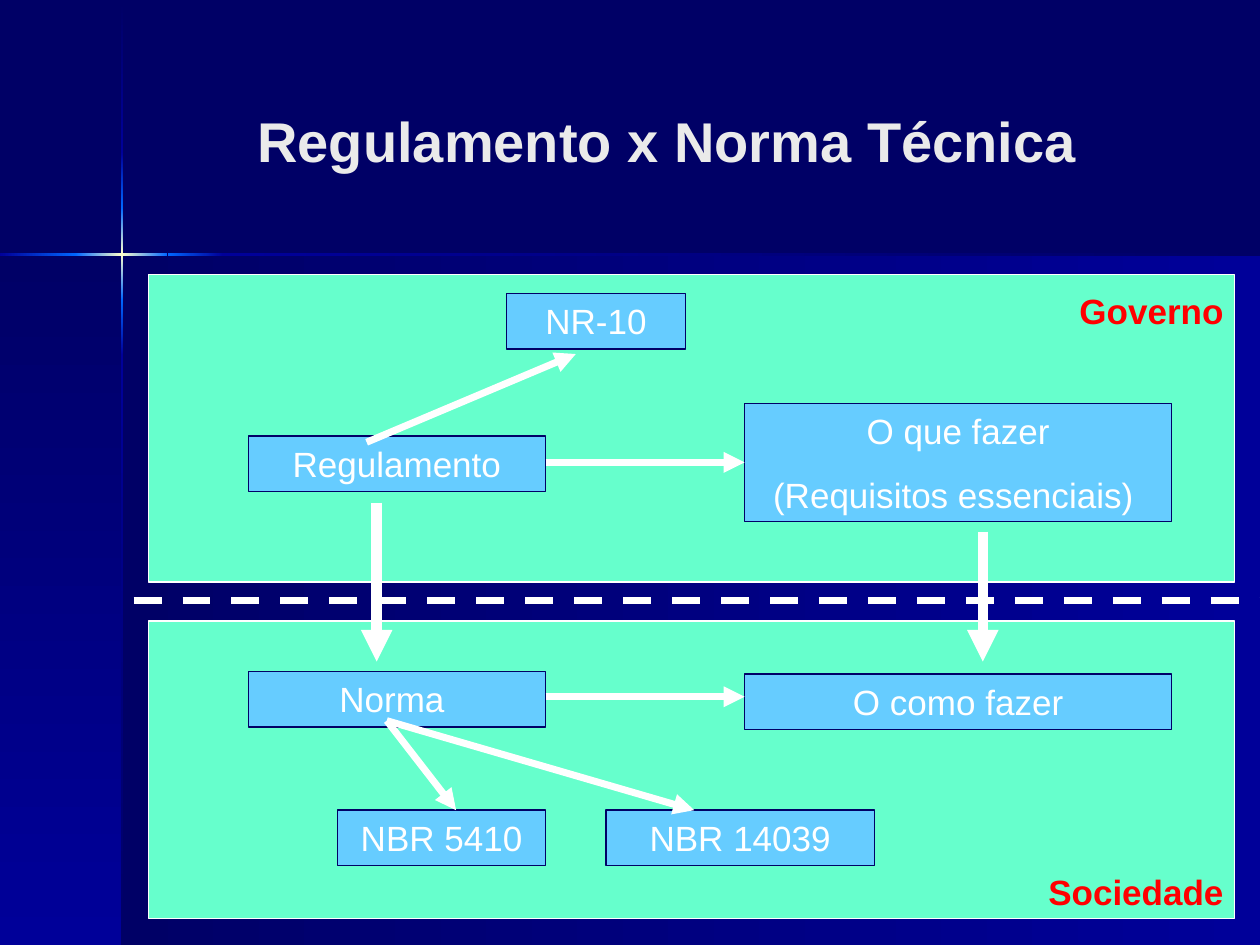
"""Build the slide comparing regulation and technical standard."""
from lxml.etree import SubElement
from pptx import Presentation
from pptx.dml.color import RGBColor
from pptx.enum.dml import MSO_LINE
from pptx.enum.shapes import MSO_CONNECTOR, MSO_SHAPE
from pptx.enum.text import MSO_ANCHOR, MSO_AUTO_SIZE, PP_ALIGN
from pptx.oxml.ns import qn
from pptx.util import Inches, Pt

NAVY = RGBColor(0x00, 0x00, 0x66)
BLUE = RGBColor(0x00, 0x00, 0x99)
BRIGHT = RGBColor(0x00, 0x66, 0xFF)
CREAM = RGBColor(0xFF, 0xFF, 0xCC)
MINT = RGBColor(0x66, 0xFF, 0xCC)
SKY = RGBColor(0x66, 0xCC, 0xFF)
WHITE = RGBColor(0xFF, 0xFF, 0xFF)
SILVER = RGBColor(0xEA, 0xEA, 0xEA)
RED = RGBColor(0xFF, 0x00, 0x00)

TITLE = "Regulamento x Norma Técnica"
DOWN, LEFTWARD = 90, 180
GLOW = (BRIGHT, CREAM, BRIGHT)
BACKDROP = [
    ((0.97, 2.02, 9.03, 5.48), (BLUE, NAVY), LEFTWARD),
    ((0, 2.02, 0.97, 5.48), (NAVY, BLUE), DOWN),
]
VERTICAL_RAY = [
    (0.01, 1.21, (NAVY, BLUE)),
    (2.82, 7.5, (BLUE, NAVY)),
    (2.38, 2.82, (BRIGHT, BLUE)),
    (1.21, 1.65, (BLUE, BRIGHT)),
    (1.65, 2.38, GLOW),
]
HORIZONTAL_RAY = [
    (1.77, 10, (NAVY, BLUE)),
    (0, 0.61, (BRIGHT, BLUE)),
    (1.33, 1.77, (BLUE, BRIGHT)),
    (0.6, 1.33, GLOW),
]
PANELS = [(1.18, 4.93, 8.62, 2.36), (1.18, 2.18, 8.62, 2.44)]
BOXES = [
    (["Regulamento"], (1.97, 3.46, 2.36, 0.44)),
    (["O que fazer", "(Requisitos essenciais) "], (5.91, 3.2, 3.39, 0.94)),
    (["Norma "], (1.97, 5.33, 2.36, 0.44)),
    (["O como fazer"], (5.91, 5.35, 3.39, 0.44)),
    (["NBR 14039"], (4.81, 6.43, 2.13, 0.44)),
    (["NBR 5410"], (2.68, 6.43, 1.65, 0.44)),
    (["NR-10"], (4.02, 2.33, 1.42, 0.44)),
]
ARROWS = [
    ((4.33, 3.67, 5.91, 3.67), 4),
    ((4.33, 5.53, 5.91, 5.53), 4),
    ((2.91, 3.51, 4.57, 2.81), 4),
    ((3.07, 5.72, 3.62, 6.43), 4),
    ((3.07, 5.72, 5.51, 6.43), 4),
    ((2.99, 3.99, 2.99, 5.25), 6),
    ((7.8, 4.22, 7.8, 5.25), 6),
]
DIVIDER = (1.06, 4.77, 10, 4.77)
SECTORS = [("Governo", 2.25), ("Sociedade", 6.86)]

BOX_FONT = {"name": "Arial", "size": Pt(20), "bold": False}
SECTOR_FONT = {"name": "Arial", "size": Pt(20), "bold": True}
TITLE_FONT = {"name": "Arial", "size": Pt(32), "bold": True}


def inches(values):
    return [Inches(v) for v in values]


def add_rect(s, at, fill=None, line=None):
    sp = s.shapes.add_shape(MSO_SHAPE.RECTANGLE, *inches(at))
    sp.shadow.inherit = False
    if fill is not None:
        sp.fill.solid()
        sp.fill.fore_color.rgb = fill
    if line is None:
        sp.line.fill.background()
    else:
        sp.line.color.rgb = line
        sp.line.width = Pt(0.75)
    return sp


def add_gradient(s, at, colors, angle):
    sp = add_rect(s, at)
    sp.fill.gradient()
    sp.fill.gradient_angle = 360 - angle
    stops = sp._element.spPr.find(qn("a:gradFill")).find(qn("a:gsLst"))
    for stop in list(stops):
        stops.remove(stop)
    for i, color in enumerate(colors):
        pos = 100000 * i // (len(colors) - 1)
        stop = SubElement(stops, qn("a:gs"), pos=str(pos))
        SubElement(stop, qn("a:srgbClr"), val=str(color))


def write(sp, lines, font, color, align, anchor=MSO_ANCHOR.TOP, before=12.5):
    tf = sp.text_frame
    tf.word_wrap = True
    tf.vertical_anchor = anchor
    for i, line in enumerate(lines):
        p = tf.paragraphs[0] if i == 0 else tf.add_paragraph()
        p.alignment = align
        p.space_before = Pt(before)
        r = p.add_run()
        r.text = line
        r.font.color.rgb = color
        for key, value in font.items():
            setattr(r.font, key, value)
    return tf


def add_line(s, ends, width, dashed=False):
    line = s.shapes.add_connector(MSO_CONNECTOR.STRAIGHT, *inches(ends))
    line.line.color.rgb = WHITE
    line.line.width = Pt(width)
    if dashed:
        line.line.dash_style = MSO_LINE.DASH
    else:
        SubElement(line.line._get_or_add_ln(), qn("a:tailEnd"), type="triangle")
    SubElement(line._element.spPr, qn("a:effectLst"))


def main():
    prs = Presentation()
    prs.slide_width, prs.slide_height = Inches(10), Inches(7.5)
    s = prs.slides.add_slide(prs.slide_layouts[5])
    s.background.fill.solid()
    s.background.fill.fore_color.rgb = NAVY

    for at, colors, angle in BACKDROP:
        add_gradient(s, at, colors, angle)
    for top, bottom, colors in VERTICAL_RAY:
        add_gradient(s, (0.96, top, 0.02, bottom - top), colors, DOWN)
    for left, right, colors in HORIZONTAL_RAY:
        add_gradient(s, (left, 2.01, right - left, 0.02), colors, LEFTWARD)

    title = s.shapes.title
    title.left, title.top, title.width, title.height = inches((1.17, 0.33, 8.25, 1.57))
    write(title, [TITLE], TITLE_FONT, SILVER, PP_ALIGN.CENTER, MSO_ANCHOR.MIDDLE, 0)

    for at in PANELS:
        add_rect(s, at, MINT, WHITE)
    for lines, at in BOXES:
        box = add_rect(s, at, SKY, NAVY)
        tf = write(box, lines, BOX_FONT, WHITE, PP_ALIGN.CENTER)
        tf.auto_size = MSO_AUTO_SIZE.SHAPE_TO_FIT_TEXT
    for ends, width in ARROWS:
        add_line(s, ends, width)
    add_line(s, DIVIDER, 4, dashed=True)
    for name, top in SECTORS:
        label = s.shapes.add_textbox(*inches((7.76, top, 2.05, 0.44)))
        tf = write(label, [name], SECTOR_FONT, RED, PP_ALIGN.RIGHT)
        tf.auto_size = MSO_AUTO_SIZE.SHAPE_TO_FIT_TEXT

    prs.save("out.pptx")


if __name__ == "__main__":
    main()
